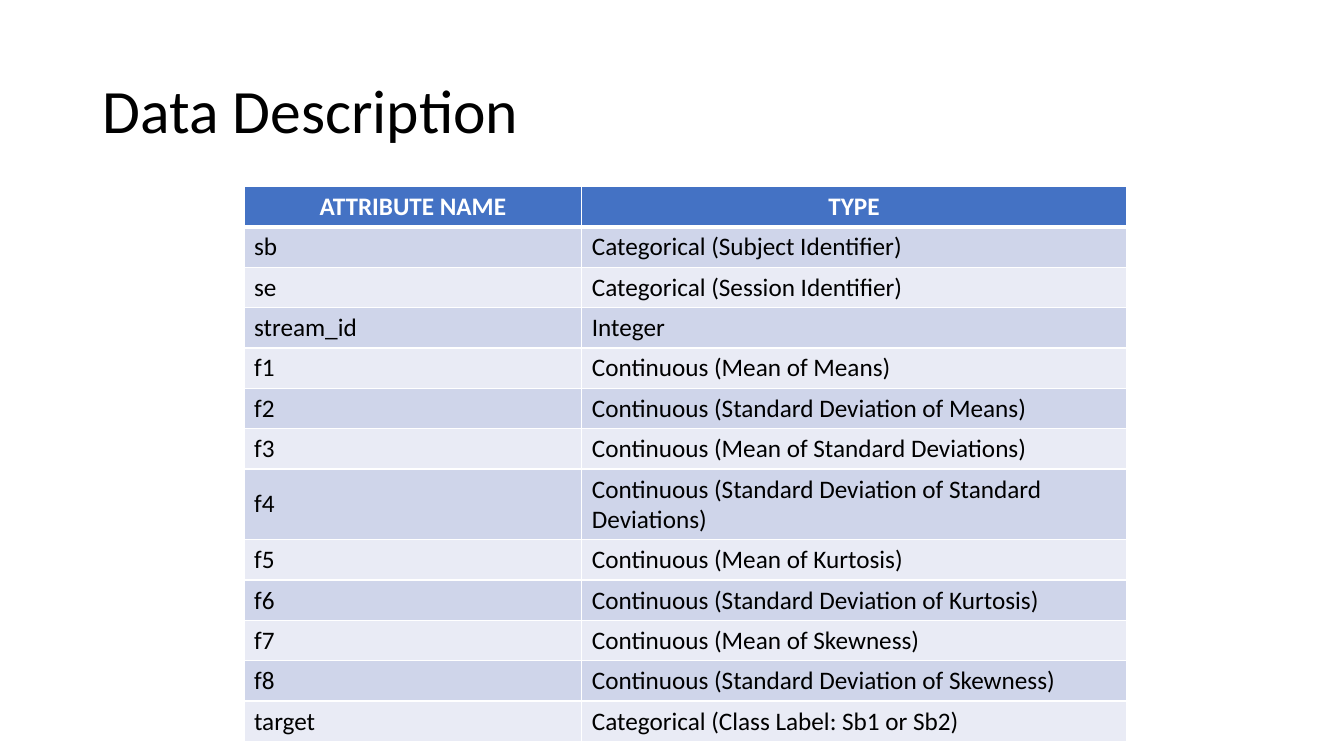
from lxml import etree
from pptx import Presentation
from pptx import util as u
from pptx.dml import color
from pptx.enum import text
from pptx.oxml import ns

BLACK = color.RGBColor(0x00, 0x00, 0x00)
WHITE = color.RGBColor(0xFF, 0xFF, 0xFF)
BLUE = color.RGBColor(0x44, 0x72, 0xC4)
BAND_DARK = color.RGBColor(0xCF, 0xD5, 0xEA)
BAND_LIGHT = color.RGBColor(0xE9, 0xEB, 0xF5)

ROWS = [
    ("ATTRIBUTE NAME", "TYPE"),
    ("sb", "Categorical (Subject Identifier)"),
    ("se", "Categorical (Session Identifier)"),
    ("stream_id", "Integer"),
    ("f1", "Continuous (Mean of Means)"),
    ("f2", "Continuous (Standard Deviation of Means)"),
    ("f3", "Continuous (Mean of Standard Deviations)"),
    ("f4", "Continuous (Standard Deviation of Standard Deviations)"),
    ("f5", "Continuous (Mean of Kurtosis)"),
    ("f6", "Continuous (Standard Deviation of Kurtosis)"),
    ("f7", "Continuous (Mean of Skewness)"),
    ("f8", "Continuous (Standard Deviation of Skewness)"),
    ("target", "Categorical (Class Label: Sb1 or Sb2)"),
]


class Deck:
    """Holds the style and the current slide, and adds elements to it."""

    def __init__(self, prs, font="Calibri"):
        self.font = font
        self.s = prs.slides.add_slide(prs.slide_layouts[6])

    def add_text(self, tf, content, align=text.PP_ALIGN.LEFT, spacing=1.0, rgb=BLACK, **fmt):
        p = tf.paragraphs[0]
        p.alignment = align
        p.line_spacing = spacing
        r = p.add_run()
        r.text = content
        r.font.color.rgb = rgb
        for name, value in {"name": self.font, **fmt}.items():
            setattr(r.font, name, value)

    def title(self, content, *box):
        sp = self.s.shapes.add_textbox(*map(u.Inches, box))
        tf = sp.text_frame
        for name, value in {"word_wrap": True, "vertical_anchor": text.MSO_ANCHOR.MIDDLE}.items():
            setattr(tf, name, value)
        self.add_text(tf, content, spacing=0.9, size=u.Pt(44))

    def borders(self, cell, widths):
        tc_pr = cell._tc.get_or_add_tcPr()
        for side, width in widths.items():
            ln = etree.SubElement(tc_pr, ns.qn(f"a:ln{side}"), w=str(u.Pt(width)))
            fill = etree.SubElement(ln, ns.qn("a:solidFill"))
            etree.SubElement(fill, ns.qn("a:srgbClr"), val=str(WHITE))

    def table(self, rows, left, top, col_widths, row_height):
        size = (left, top, sum(col_widths), row_height * len(rows))
        table = self.s.shapes.add_table(len(rows), len(col_widths), *map(u.Inches, size)).table
        for col, width in zip(table.columns, col_widths):
            col.width = u.Inches(width)
        for i, row in enumerate(rows):
            table.rows[i].height = u.Inches(row_height)
            head = i == 0
            band = BLUE if head else BAND_DARK if i % 2 else BAND_LIGHT
            fmt = {
                "align": text.PP_ALIGN.CENTER if head else text.PP_ALIGN.LEFT,
                "rgb": WHITE if head else BLACK,
                "bold": head,
                "size": u.Pt(18),
            }
            widths = {"L": 1, "R": 1, "T": 3 if i == 1 else 1, "B": 3 if head else 1}
            for j, content in enumerate(row):
                cell = table.cell(i, j)
                cell.vertical_anchor = text.MSO_ANCHOR.MIDDLE
                self.borders(cell, widths)
                cell.fill.solid()
                cell.fill.fore_color.rgb = band
                self.add_text(cell.text_frame, content, **fmt)


def main():
    prs = Presentation()
    prs.slide_width = u.Inches(13.33)
    prs.slide_height = u.Inches(7.5)
    deck = Deck(prs)
    deck.title("Data Description", 0.92, 0.4, 11.5, 1.45)
    deck.table(ROWS, 2.42, 1.85, (3.35, 5.4), 0.4)
    prs.save("out.pptx")


if __name__ == "__main__":
    main()
